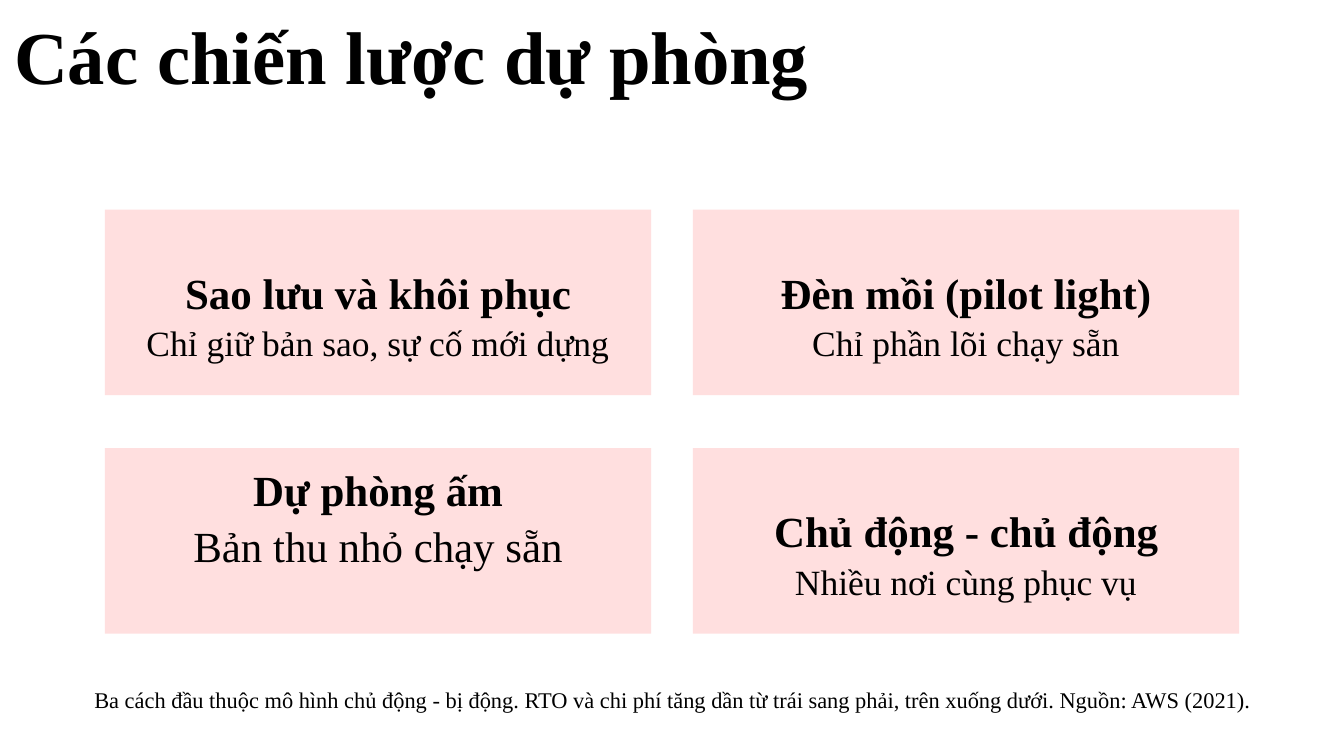
from dataclasses import dataclass

from pptx import Presentation
from pptx.dml.color import RGBColor
from pptx.enum.shapes import MSO_SHAPE
from pptx.enum.text import MSO_ANCHOR, PP_ALIGN
from pptx.util import Inches, Pt


@dataclass(frozen=True)
class Theme:
    font: str = "Times New Roman"
    ink: RGBColor = RGBColor(0, 0, 0)
    panel: RGBColor = RGBColor(0xFF, 0xDF, 0xDF)
    title: int = 80
    heading: int = 46
    body: int = 38
    note: int = 24


THEME = Theme()
WIDTH, HEIGHT = 20, 11.25

# Grid of panels, in inches
LEFT, TOP = 1.56, 3.12
PANEL_W, PANEL_H = 8.13, 2.76
COL_STEP, ROW_STEP = 8.75, 3.55
PAD = 0.21

# Column, row, heading, description, description size, text offset, text height
STRATEGIES = [
    (0, 0, "Sao lưu và khôi phục", "Chỉ giữ bản sao, sự cố mới dựng", THEME.body, 0.78, 1.5),
    (1, 0, "Đèn mồi (pilot light)", "Chỉ phần lõi chạy sẵn", THEME.body, 0.78, 1.5),
    (0, 1, "Dự phòng ấm", "Bản thu nhỏ chạy sẵn", THEME.heading, 0.17, 2.49),
    (1, 1, "Chủ động - chủ động", "Nhiều nơi cùng phục vụ", THEME.body, 0.78, 1.5),
]


def add_line(p, text, *, size, bold=False, align=PP_ALIGN.CENTER, leading=1.3):
    """Write one formatted line of text into a paragraph."""
    p.alignment = align
    p.line_spacing = Pt(round(size * leading, 1))
    r = p.add_run()
    r.text = text
    r.font.name = THEME.font
    r.font.size = Pt(size)
    r.font.bold = bold
    r.font.color.rgb = THEME.ink


def add_text_frame(s, left, top, width, height):
    """Add a text box without margins and return its frame."""
    box = s.shapes.add_textbox(Inches(left), Inches(top), Inches(width), Inches(height))
    tf = box.text_frame
    tf.word_wrap = True
    tf.vertical_anchor = MSO_ANCHOR.TOP
    tf.margin_left = tf.margin_right = tf.margin_top = tf.margin_bottom = 0
    return tf


def add_strategy(s, col, row, heading, description, size, offset, text_h):
    """Add a tinted panel with its heading and description."""
    left, top = LEFT + col * COL_STEP, TOP + row * ROW_STEP
    sp = s.shapes.add_shape(MSO_SHAPE.RECTANGLE, Inches(left), Inches(top),
                            Inches(PANEL_W), Inches(PANEL_H))
    sp.shadow.inherit = False
    sp.fill.solid()
    sp.fill.fore_color.rgb = THEME.panel
    sp.line.fill.background()

    tf = add_text_frame(s, left + PAD, top + offset, PANEL_W - 2 * PAD, text_h)
    add_line(tf.paragraphs[0], heading, size=THEME.heading, bold=True)
    add_line(tf.add_paragraph(), description, size=size)


def main():
    prs = Presentation()
    prs.slide_width, prs.slide_height = Inches(WIDTH), Inches(HEIGHT)
    s = prs.slides.add_slide(prs.slide_layouts[6])

    # Title
    tf = add_text_frame(s, PAD, 0.14, 19.6, 1.38)
    add_line(tf.paragraphs[0], "Các chiến lược dự phòng", size=THEME.title,
             bold=True, align=PP_ALIGN.LEFT, leading=1.2)

    # Strategy panels
    for strategy in STRATEGIES:
        add_strategy(s, *strategy)

    # Source note
    tf = add_text_frame(s, 1.15, 10.17, 17.71, 0.44)
    add_line(tf.paragraphs[0],
             "Ba cách đầu thuộc mô hình chủ động - bị động. RTO và chi phí tăng dần "
             "từ trái sang phải, trên xuống dưới. Nguồn: AWS (2021).",
             size=THEME.note)

    prs.save("out.pptx")


if __name__ == "__main__":
    main()
